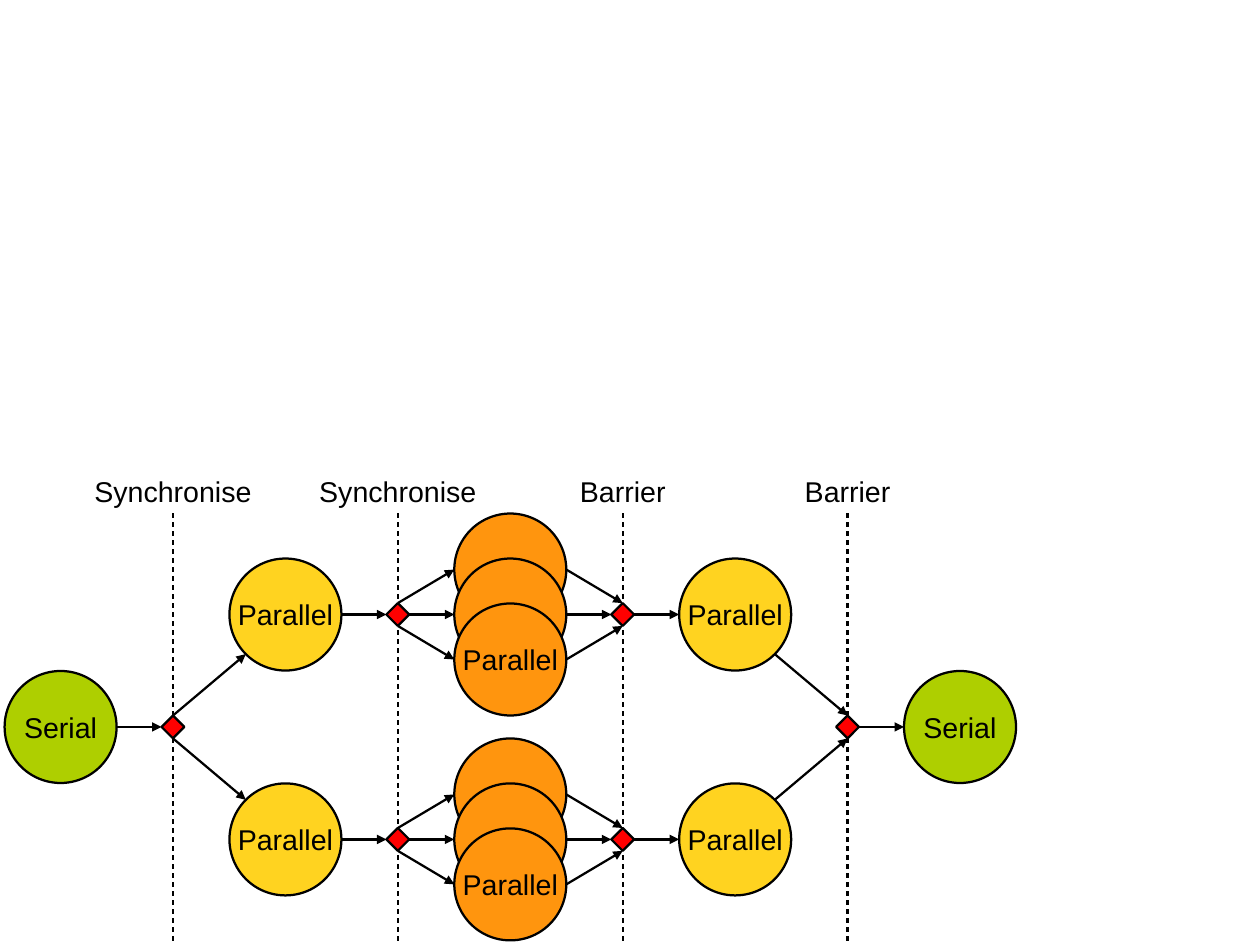
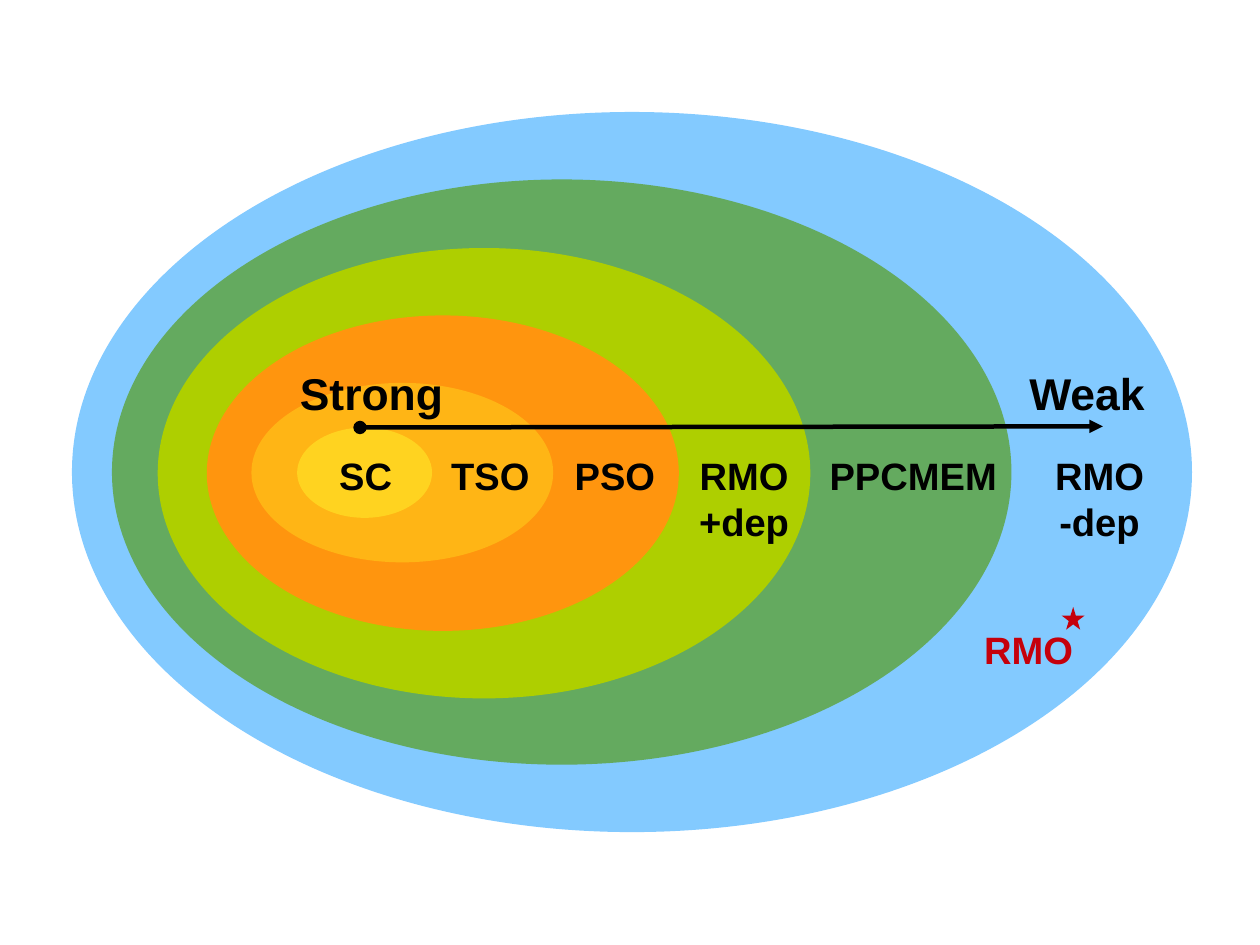
import math
from dataclasses import dataclass
from enum import Enum
from typing import Any, NamedTuple, Optional

import lxml.etree
import pptx
import pptx.dml.color
import pptx.enum.shapes
import pptx.enum.text
import pptx.oxml.ns
import pptx.util

Inches = pptx.util.Inches
ShapeKind = pptx.enum.shapes.MSO_SHAPE


# Shared theme
@dataclass(frozen=True)
class Theme:
    font: str = "Arial"
    ink: str = "000000"
    lime: str = "AECF00"
    yellow: str = "FFD320"
    amber: str = "FFB515"
    orange: str = "FF950E"
    green: str = "579D1C"
    sky: str = "83CAFF"
    red: str = "FF0000"
    crimson: str = "C5000B"
    node_size: float = 18
    model_size: float = 24
    scale_size: float = 28
    thin: float = 1.42
    thick: float = 2.83


THEME = Theme()


class Box(NamedTuple):
    left: float
    top: float
    width: float
    height: float


class Label(NamedTuple):
    lines: tuple[str, ...]
    center: float
    top: float
    width: float
    size: float
    bold: bool = True
    color: str = THEME.ink


class Side(Enum):
    """Compass sides as clockwise angles in degrees."""
    EAST = 0
    SOUTH_EAST = 45
    SOUTH = 90
    SOUTH_WEST = 135
    WEST = 180
    NORTH_WEST = 225
    NORTH = 270
    NORTH_EAST = 315


DIAMOND_SITES = {Side.NORTH: 0, Side.WEST: 1, Side.SOUTH: 2, Side.EAST: 3}


@dataclass
class Node:
    shape: Any
    x: float
    y: float
    radius: float
    is_diamond: bool

    def point(self, side: Side) -> tuple[float, float]:
        angle = math.radians(side.value)
        return (self.x + self.radius * math.cos(angle),
                self.y + self.radius * math.sin(angle))


# Drawing functions
def rgb(value: str) -> pptx.dml.color.RGBColor:
    return pptx.dml.color.RGBColor.from_string(value)


def add_xml(parent: Any, tag: str, **attributes: str) -> Any:
    return lxml.etree.SubElement(parent, pptx.oxml.ns.qn(tag), attributes)


def write_lines(frame: Any, lines: tuple[str, ...], size: float,
                bold: bool = False, color: str = THEME.ink) -> None:
    frame.word_wrap = False
    for index, line in enumerate(lines):
        paragraph = frame.paragraphs[0] if index == 0 else frame.add_paragraph()
        paragraph.alignment = pptx.enum.text.PP_ALIGN.CENTER
        run = paragraph.add_run()
        run.text = line
        run.font.name = THEME.font
        run.font.size = pptx.util.Pt(size)
        run.font.bold = bold
        run.font.color.rgb = rgb(color)


def draw_label(slide: Any, label: Label) -> None:
    height = 0.1 + len(label.lines) * label.size * 1.15 / 72
    box = slide.shapes.add_textbox(
        Inches(label.center - label.width / 2), Inches(label.top),
        Inches(label.width), Inches(height))
    write_lines(box.text_frame, label.lines, label.size, label.bold, label.color)
    box.text_frame.auto_size = pptx.enum.text.MSO_AUTO_SIZE.SHAPE_TO_FIT_TEXT


def draw_shape(slide: Any, kind: Any, box: Box, fill: str,
               outlined: bool = False, opacity: int = 100) -> Any:
    shape = slide.shapes.add_shape(kind, *map(Inches, box))
    shape.shadow.inherit = False
    shape.fill.solid()
    shape.fill.fore_color.rgb = rgb(fill)
    if opacity < 100:
        color = shape.element.spPr.find(".//" + pptx.oxml.ns.qn("a:srgbClr"))
        add_xml(color, "a:alpha", val=str(opacity * 1000))
    if outlined:
        shape.line.color.rgb = rgb(THEME.ink)
        shape.line.width = pptx.util.Pt(THEME.thin)
    else:
        shape.line.fill.background()
    return shape


def draw_line(slide: Any, begin: tuple[float, float], end: tuple[float, float],
              width: float = THEME.thin, dashed: bool = False,
              head: Optional[str] = None, tail: Optional[str] = None) -> Any:
    line = slide.shapes.add_connector(
        pptx.enum.shapes.MSO_CONNECTOR.STRAIGHT, *map(Inches, begin + end))
    line.line.color.rgb = rgb(THEME.ink)
    line.line.width = pptx.util.Pt(width)
    outline = line.element.spPr.find(pptx.oxml.ns.qn("a:ln"))
    if dashed:
        add_xml(add_xml(outline, "a:custDash"), "a:ds", d="200000", sp="200000")
    for tag, ending in (("a:headEnd", head), ("a:tailEnd", tail)):
        if ending:
            add_xml(outline, tag, type=ending)
    add_xml(line.element.spPr, "a:effectLst")
    return line


def draw_node(slide: Any, kind: Any, x: float, y: float, diameter: float,
              fill: str, text: str = "") -> Node:
    radius = diameter / 2
    shape = draw_shape(slide, kind, Box(x - radius, y - radius, diameter, diameter),
                       fill, outlined=True)
    if text:
        shape.text_frame.vertical_anchor = pptx.enum.text.MSO_ANCHOR.MIDDLE
        write_lines(shape.text_frame, (text,), THEME.node_size)
    return Node(shape, x, y, radius, kind == ShapeKind.DIAMOND)


def draw_arrow(slide: Any, source: Node, leaving: Side,
               target: Node, entering: Side) -> None:
    arrow = draw_line(slide, source.point(leaving), target.point(entering),
                      tail="triangle")
    if source.is_diamond:
        arrow.begin_connect(source.shape, DIAMOND_SITES[leaving])
    if target.is_diamond:
        arrow.end_connect(target.shape, DIAMOND_SITES[entering])


# Slide 1: nested fork and join
FIRST_X, LAST_X, AXIS_Y = 0.53, 8.4, 6.36
STEP = (LAST_X - FIRST_X) / 8
CIRCLE, DIAMOND = 0.98, 0.2
BARRIERS = {1: "Synchronise", 3: "Synchronise", 5: "Barrier", 7: "Barrier"}


def column(index: int) -> float:
    return FIRST_X + index * STEP


def draw_task(slide: Any, index: int, y: float, fill: str, text: str = "") -> Node:
    return draw_node(slide, ShapeKind.OVAL, column(index), y, CIRCLE, fill, text)


def draw_gate(slide: Any, index: int, y: float) -> Node:
    return draw_node(slide, ShapeKind.DIAMOND, column(index), y, DIAMOND, THEME.red)


def draw_branch(slide: Any, y: float) -> tuple[Node, Node]:
    """Draw one parallel branch and return its first and last task."""
    first = draw_task(slide, 2, y, THEME.yellow, "Parallel")
    workers = [draw_task(slide, 4, y + offset * 0.4 * STEP, THEME.orange, text)
               for offset, text in ((-1, ""), (0, ""), (1, "Parallel"))]
    last = draw_task(slide, 6, y, THEME.yellow, "Parallel")
    fork, join = draw_gate(slide, 3, y), draw_gate(slide, 5, y)
    draw_arrow(slide, first, Side.EAST, fork, Side.WEST)
    for worker, outward, inward in zip(
            workers, (Side.NORTH, Side.EAST, Side.SOUTH),
            (Side.NORTH, Side.WEST, Side.SOUTH)):
        draw_arrow(slide, fork, outward, worker, Side.WEST)
        draw_arrow(slide, worker, Side.EAST, join, inward)
    draw_arrow(slide, join, Side.EAST, last, Side.WEST)
    return first, last


def build_fork_join(slide: Any) -> None:
    for index, text in BARRIERS.items():
        x = column(index)
        draw_line(slide, (x, AXIS_Y - 1.9 * STEP), (x, AXIS_Y + 1.9 * STEP),
                  dashed=True)
        draw_label(slide, Label((text,), x, 4.1, 1.7, THEME.node_size, bold=False))
    start = draw_task(slide, 0, AXIS_Y, THEME.lime, "Serial")
    finish = draw_task(slide, 8, AXIS_Y, THEME.lime, "Serial")
    fork, join = draw_gate(slide, 1, AXIS_Y), draw_gate(slide, 7, AXIS_Y)
    draw_arrow(slide, start, Side.EAST, fork, Side.WEST)
    upper_first, upper_last = draw_branch(slide, AXIS_Y - STEP)
    lower_first, lower_last = draw_branch(slide, AXIS_Y + STEP)
    draw_arrow(slide, fork, Side.NORTH, upper_first, Side.SOUTH_WEST)
    draw_arrow(slide, fork, Side.SOUTH, lower_first, Side.NORTH_WEST)
    draw_arrow(slide, upper_last, Side.SOUTH_EAST, join, Side.NORTH)
    draw_arrow(slide, lower_last, Side.NORTH_EAST, join, Side.SOUTH)
    draw_arrow(slide, join, Side.EAST, finish, Side.WEST)


# Slide 2: memory models from strong to weak
class Region(NamedTuple):
    box: Box
    fill: str
    opacity: int = 100


REGIONS = (
    Region(Box(0.63, 0.98, 9.8, 6.3), THEME.sky),
    Region(Box(0.98, 1.57, 7.87, 5.12), THEME.green, 70),
    Region(Box(1.38, 2.17, 5.71, 3.94), THEME.lime),
    Region(Box(1.81, 2.76, 4.13, 2.76), THEME.orange),
    Region(Box(2.2, 3.35, 2.64, 1.57), THEME.amber),
    Region(Box(2.6, 3.74, 1.18, 0.79), THEME.yellow),
)
MODEL_TOP, SCALE_TOP = 3.91, 3.15
MODEL_LABELS = (
    Label(("SC",), 3.2, MODEL_TOP, 0.7, THEME.model_size),
    Label(("TSO",), 4.29, MODEL_TOP, 0.95, THEME.model_size),
    Label(("PSO",), 5.38, MODEL_TOP, 0.95, THEME.model_size),
    Label(("RMO", "+dep"), 6.51, MODEL_TOP, 1.05, THEME.model_size),
    Label(("PPCMEM",), 7.99, MODEL_TOP, 1.75, THEME.model_size),
    Label(("RMO", "-dep"), 9.62, MODEL_TOP, 1.05, THEME.model_size),
    Label(("Strong",), 3.25, SCALE_TOP, 1.5, THEME.scale_size),
    Label(("Weak",), 9.51, SCALE_TOP, 1.3, THEME.scale_size),
    Label(("RMO",), 9.0, 5.43, 1.05, THEME.model_size, color=THEME.crimson),
)


def build_memory_models(slide: Any) -> None:
    for region in REGIONS:
        draw_shape(slide, ShapeKind.OVAL, region.box, region.fill,
                   opacity=region.opacity)
    draw_line(slide, (3.15, 3.74), (9.65, 3.73), THEME.thick,
              head="oval", tail="triangle")
    for label in MODEL_LABELS:
        draw_label(slide, label)
    draw_shape(slide, ShapeKind.STAR_5_POINT, Box(9.29, 5.31, 0.2, 0.2),
               THEME.crimson)


# Presentation, on a 28 by 21 cm page
deck = pptx.Presentation()
deck.slide_width = pptx.util.Emu(10080625)
deck.slide_height = pptx.util.Emu(7559675)
blank_layout = deck.slide_layouts[6]
for build in (build_fork_join, build_memory_models):
    build(deck.slides.add_slide(blank_layout))
deck.save("out.pptx")
